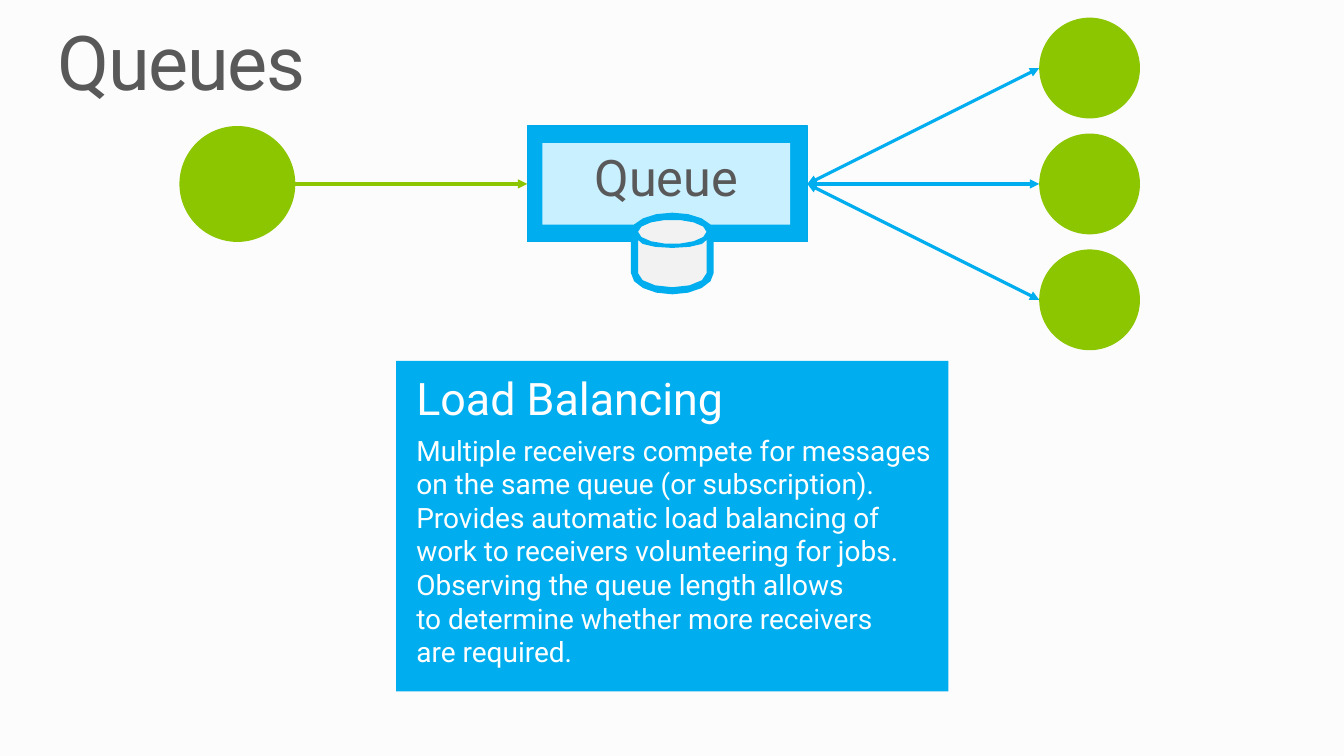
import math

import pptx
import pptx.dml.color
import pptx.enum.shapes
import pptx.enum.text
import pptx.oxml.ns
import pptx.util
from lxml import etree

Inches = pptx.util.Inches
Pt = pptx.util.Pt
SHAPE = pptx.enum.shapes.MSO_SHAPE
ALIGN = pptx.enum.text.PP_ALIGN
ANCHOR = pptx.enum.text.MSO_ANCHOR
qn = pptx.oxml.ns.qn

FONT = "Roboto"
COLORS = {
    "background": "FCFCFC", "text": "595959", "white": "FFFFFF",
    "blue": "00AEEF", "edge": "00AAEA", "pale": "C9F0FF",
    "green": "8CC600", "grey": "F2F2F2",
}


def rgb(name):
    return pptx.dml.color.RGBColor.from_string(COLORS[name])


def set_frame(tf, insets, anchor=ANCHOR.TOP):
    tf.word_wrap = True
    tf.vertical_anchor = anchor
    tf.margin_left, tf.margin_top, tf.margin_right, tf.margin_bottom = map(Inches, insets)


def write(tf, text, size, color="white", align=ALIGN.LEFT, after=0, line=None,
          spacing=None, first=False):
    """Write one paragraph; a newline in the text is a line break."""
    p = tf.paragraphs[0] if first else tf.add_paragraph()
    p.alignment = align
    p.space_after = Pt(after)
    if line:
        p.line_spacing = line
    for i, part in enumerate(text.split("\n")):
        if i:
            p.add_line_break()
        r = p.add_run()
        r.text = part
        r.font.name = FONT
        r.font.size = Pt(size)
        r.font.color.rgb = rgb(color)
        if spacing:
            r._r.get_or_add_rPr().set("spc", str(spacing))


def paint(sp, fill, line=None):
    sp.shadow.inherit = False
    sp.fill.solid()
    sp.fill.fore_color.rgb = rgb(fill)
    if line:
        sp.line.color.rgb = rgb(line)
        sp.line.width = Pt(0.75)
    else:
        sp.line.fill.background()
    return sp


def add_block(s, kind, x, y, w, h, fill, line=None):
    sp = s.shapes.add_shape(kind, Inches(x), Inches(y), Inches(w), Inches(h))
    return paint(sp, fill, line)


def add_arrow(s, start, end, color, both=False):
    c = s.shapes.add_connector(pptx.enum.shapes.MSO_CONNECTOR.STRAIGHT,
                               *map(Inches, start + end))
    c.line.color.rgb = rgb(color)
    c.line.width = Pt(2.25)
    ln = c.line._get_or_add_ln()
    for tag in ("a:headEnd", "a:tailEnd") if both else ("a:tailEnd",):
        etree.SubElement(ln, qn(tag)).set("type", "triangle")
    etree.SubElement(c._element.spPr, qn("a:effectLst"))
    return c


def arc(cx, cy, rx, ry, start, end, steps=8):
    """Points on an ellipse between two angles, clockwise in degrees."""
    angles = [math.radians(start + (end - start) * i / steps) for i in range(steps + 1)]
    return [(Inches(cx + rx * math.cos(a)), Inches(cy + ry * math.sin(a))) for a in angles]


def add_outline(s, contours, fill):
    fb = s.shapes.build_freeform(*contours[0][0])
    for i, points in enumerate(contours):
        if i:
            fb.move_to(*points[0])
        fb.add_line_segments(points[1:], close=True)
    return paint(fb.convert_to_shape(), fill)


def add_database(s, cx):
    backing = arc(cx, 2.28, 0.36, 0.13, 180, 360, 4) + arc(cx, 2.75, 0.36, 0.13, 0, 180, 4)
    add_outline(s, [backing], "grey")
    rim = arc(cx, 2.3, 0.41, 0.19, 180, 360) + arc(cx, 2.71, 0.41, 0.21, 0, 180)
    lid = arc(cx, 2.3, 0.34, 0.12, 360, 0, 14)
    body = arc(cx, 2.38, 0.34, 0.08, 0, 180, 6) + arc(cx, 2.71, 0.34, 0.14, 180, 0, 6)
    add_outline(s, [rim, lid, body], "blue")


def main():
    prs = pptx.Presentation()
    prs.slide_width, prs.slide_height = Inches(40) // 3, Inches(7.5)
    s = prs.slides.add_slide(prs.slide_layouts[6])
    s.background.fill.solid()
    s.background.fill.fore_color.rgb = rgb("background")

    # Title
    title = s.shapes.add_textbox(Inches(0.57), Inches(0.25), Inches(12.19), Inches(0.82))
    set_frame(title.text_frame, (0, 0, 0, 0))
    write(title.text_frame, "Queues", 54, "text", line=0.9, spacing=-100, first=True)

    # Explanation panel
    panel = add_block(s, SHAPE.RECTANGLE, 3.93, 3.58, 5.48, 3.28, "blue")
    tf = panel.text_frame
    set_frame(tf, (0.2, 0.1, 0.1, 0))
    write(tf, "Load Balancing", 32, after=6, first=True)
    write(tf, "Multiple receivers compete for messages on the same queue (or subscription). "
              "Provides automatic load balancing of work to receivers volunteering for jobs.", 20)
    write(tf, "Observing the queue length allows \nto determine whether more receivers \n"
              "are required.", 20)

    # Queue
    top, height = 1.25, 1.15
    middle = top + height / 2
    queue = add_block(s, SHAPE.RECTANGLE, 5.23, top, 2.78, height, "blue", "edge")
    label = add_block(s, SHAPE.RECTANGLE, 5.38, 1.42, 2.46, 0.81, "pale")
    set_frame(label.text_frame, (0.1, 0.05, 0.1, 0.2), ANCHOR.MIDDLE)
    write(label.text_frame, "Queue", 36, "text", ALIGN.CENTER, first=True)

    # Sender
    add_block(s, SHAPE.OVAL, 1.78, top, height, height, "green")
    add_arrow(s, (2.93, middle), (5.23, middle), "green").end_connect(queue, 1)

    # Receivers
    for step in (0, -1, 1):
        y = middle + step * 1.15
        add_block(s, SHAPE.OVAL, 10.31, y - 0.5, 1, 1, "green")
        link = add_arrow(s, (8.01, middle), (10.31, y), "blue", both=True)
        link.begin_connect(queue, 3)

    # Queue storage
    add_database(s, 6.67)

    prs.save("out.pptx")


if __name__ == "__main__":
    main()
